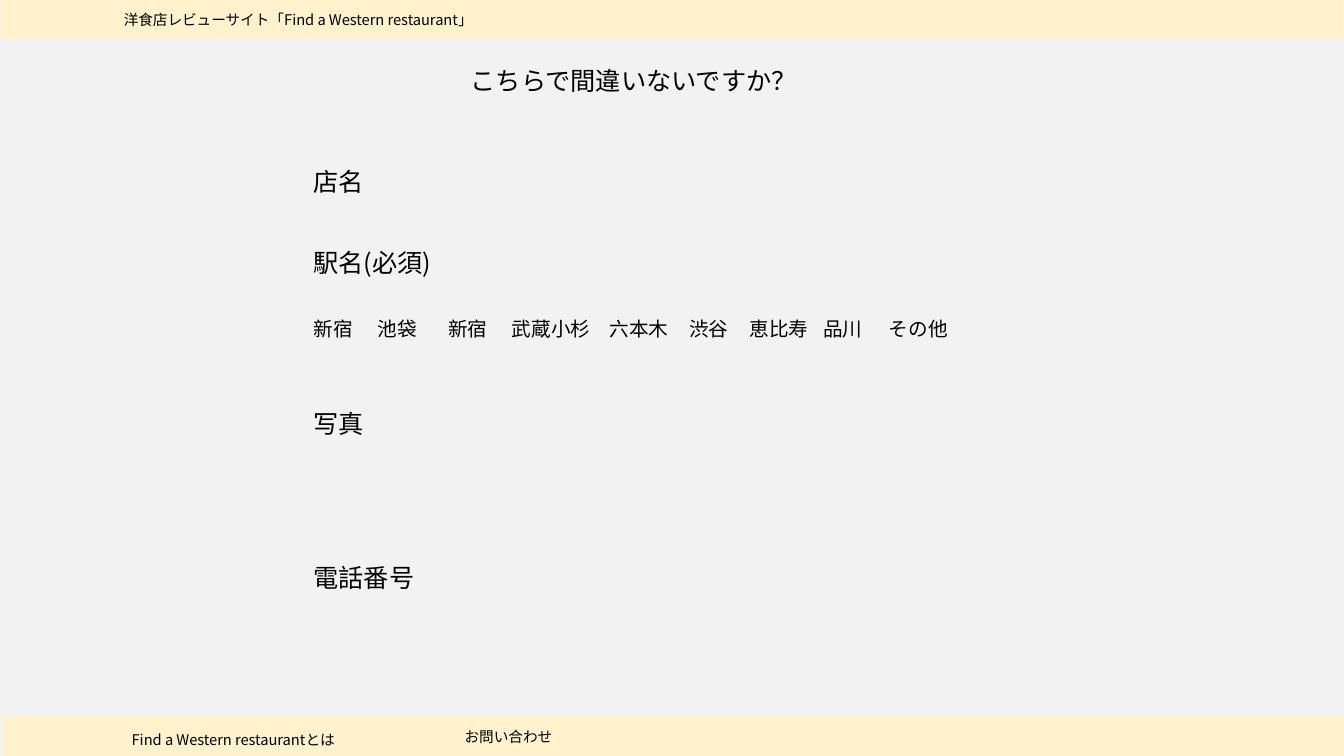
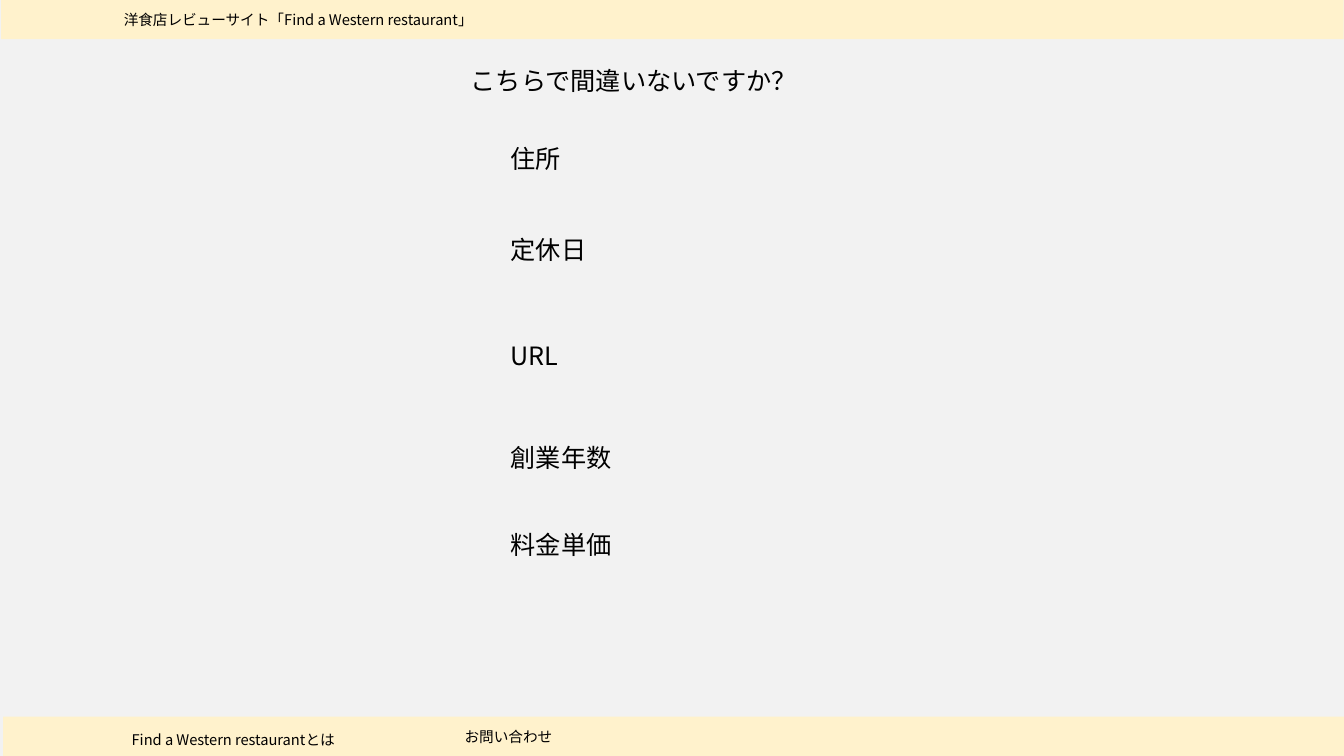
from dataclasses import dataclass

from lxml import etree
from pptx import Presentation
from pptx.dml.color import RGBColor
from pptx.enum.shapes import MSO_SHAPE
from pptx.enum.text import MSO_AUTO_SIZE
from pptx.oxml.ns import qn
from pptx.util import Cm, Pt

RECTANGLE = MSO_SHAPE.RECTANGLE
GROW = MSO_AUTO_SIZE.SHAPE_TO_FIT_TEXT


@dataclass(frozen=True)
class Theme:
    font: str = "Noto Sans CJK JP"
    text: RGBColor = RGBColor(0x00, 0x00, 0x00)
    background: RGBColor = RGBColor(0xF2, 0xF2, 0xF2)
    band: RGBColor = RGBColor(0xFF, 0xF2, 0xCC)
    label: float = 18
    option: float = 14
    small: float = 10.5


THEME = Theme()

# Content shared by the pages: text, left, top, width (cm; None = from text)
TITLE = ("こちらで間違いないですか？", 11.61, 1.52, None)
BANDS = [(0.03, 0), (0.08, 18.06)]
BAND_SIZE = (33.83, 0.99)
BAND_TEXTS = [
    ("洋食店レビューサイト「Find a Western restaurant」", 2.87, 0.15, 9.55),
    ("Find a Western restaurantとは", 3.07, 18.29, 5.79),
    ("お問い合わせ", 11.46, 18.21, None),
]

# Content of each page: labels are text, top, width; options are text, left
PAGES = [
    {
        "left": 7.65,
        "labels": [
            ("店名", 4.06, None),
            ("駅名(必須)", 6.12, 3.58),
            ("写真", 10.16, None),
            ("電話番号", 14.05, None),
        ],
        "stations": [
            ("新宿", 7.65),
            ("池袋", 9.27),
            ("新宿", 11.05),
            ("武蔵小杉", 12.65),
            ("六本木", 15.11),
            ("渋谷", 17.12),
            ("恵比寿", 18.64),
            ("品川", 20.5),
            ("その他", 22.15),
        ],
    },
    {
        "left": 12.62,
        "labels": [
            ("住所", 3.48, None),
            ("定休日", 5.79, None),
            ("URL", 8.46, 1.8),
            ("創業年数", 11.02, None),
            ("料金単価", 13.21, None),
        ],
        "stations": [],
    },
]
STATION_TOP = 7.87
SIDE_PADDING = Cm(0.53)
HEIGHTS = {THEME.label: 1.02, THEME.option: 0.86, THEME.small: 0.71}


def add_text(page, text, left, top, width, size):
    # Full-width characters are as wide as the type size
    box_width = Cm(width) if width else len(text) * Pt(size) + SIDE_PADDING
    box = page.shapes.add_textbox(Cm(left), Cm(top), box_width, Cm(HEIGHTS[size]))
    frame = box.text_frame
    frame.word_wrap = True
    frame.auto_size = GROW
    para = frame.paragraphs[0]
    para.text = text
    para.font.size = Pt(size)
    para.font.color.rgb = THEME.text
    para.font.name = THEME.font
    # East Asian typeface
    defaults = para._p.pPr.find(qn("a:defRPr"))
    etree.SubElement(defaults, qn("a:ea"), typeface=THEME.font)


def add_bands(page):
    width, height = BAND_SIZE
    for left, top in BANDS:
        band = page.shapes.add_shape(
            RECTANGLE, Cm(left), Cm(top), Cm(width), Cm(height))
        band.shadow.inherit = False
        band.fill.solid()
        band.fill.fore_color.rgb = THEME.band
        band.line.fill.background()
    for item in BAND_TEXTS:
        add_text(page, *item, THEME.small)


def add_page(deck, content):
    page = deck.slides.add_slide(deck.slide_layouts[6])
    add_text(page, *TITLE, THEME.label)
    for text, top, width in content["labels"]:
        add_text(page, text, content["left"], top, width, THEME.label)
    for text, left in content["stations"]:
        add_text(page, text, left, STATION_TOP, None, THEME.option)
    add_bands(page)


def main():
    deck = Presentation()
    deck.slide_width, deck.slide_height = Cm(33.87), Cm(19.05)
    fill = deck.slide_master.background.fill
    fill.solid()
    fill.fore_color.rgb = THEME.background
    for content in PAGES:
        add_page(deck, content)
    deck.save("out.pptx")


if __name__ == "__main__":
    main()
